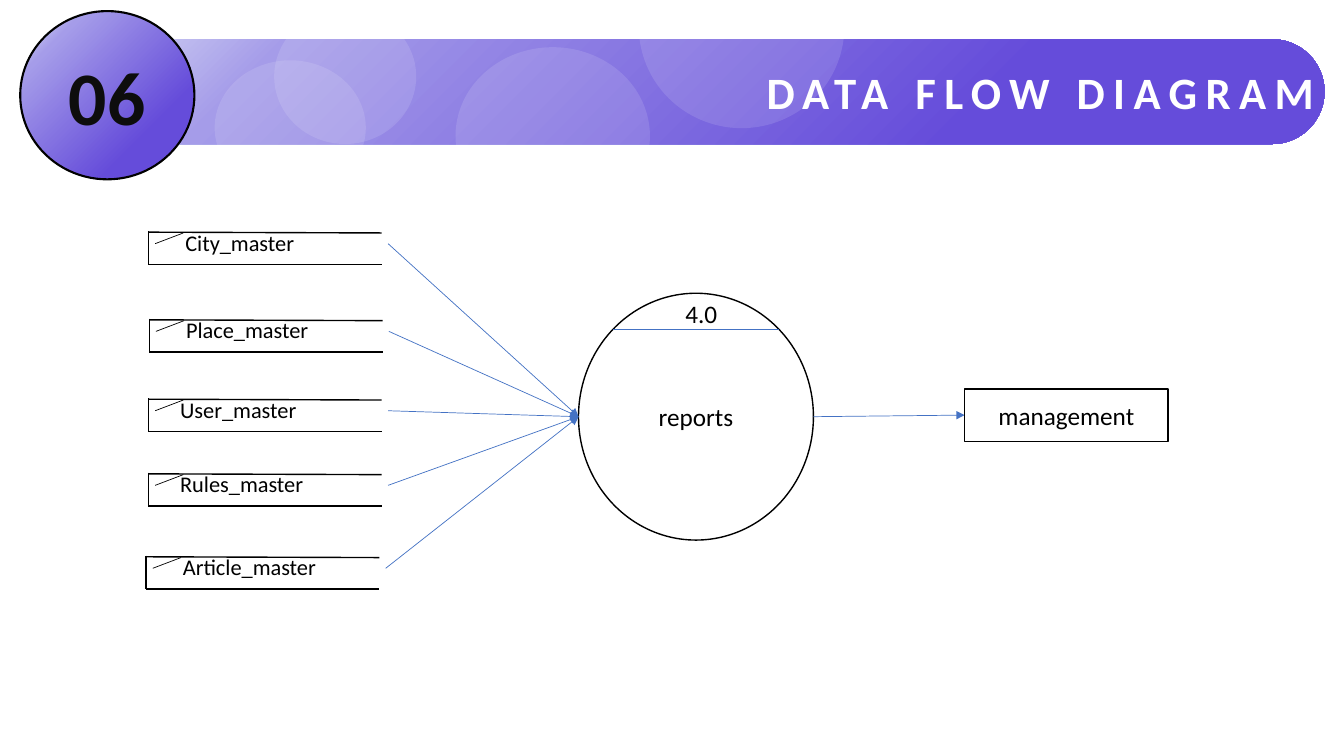
from dataclasses import dataclass

from lxml.etree import SubElement
from pptx import Presentation
from pptx.dml.color import RGBColor
from pptx.enum.shapes import MSO_CONNECTOR, MSO_SHAPE
from pptx.enum.text import MSO_ANCHOR, MSO_AUTO_SIZE, PP_ALIGN
from pptx.oxml import parse_xml
from pptx.oxml.ns import nsdecls, qn
from pptx.util import Cm, Pt


@dataclass(frozen=True)
class Theme:
    """Colours, type sizes and line widths of the slide."""
    font: str = "Calibri"
    white: str = "FFFFFF"
    black: str = "000000"
    number: str = "0D0D0D"
    flow: str = "4472C4"
    gradient: tuple = ((27, "654CDA"), (81, "A59CE9"), (100, "E5EBF7"))
    bubble_opacity: int = 12
    title_size: int = 32
    number_size: int = 54
    node_size: int = 18
    store_size: int = 16
    title_spacing: int = 6
    thin: float = 0.5
    normal: float = 1
    thick: float = 1.5


THEME = Theme()
BAND = (0.51, 0.99, 32.87, 2.64)
BADGE = (0.51, 0.28, 4.39, 4.24)
BUBBLES = ((11.48, 1.19, 4.9, 4.47), (6.91, 0.23, 3.58, 3.4),
           (16.1, -1.88, 5.18, 5.11), (5.41, 1.52, 3.81, 3.4))
PROCESS = (14.58, 7.39, 5.92, 6.22)
PROCESS_NUMBER = (17.02, 7.39, 1.35, 1.09)
MANAGEMENT = (24.31, 9.8, 5.13, 1.32)
STORES = (("City_master", 3.74, 5.82, 0.51), ("Place_master", 3.76, 8.03, 0.51),
          ("User_master", 3.74, 10.03, 0.38), ("Rules_master", 3.74, 11.91, 0.38),
          ("Article_master", 3.68, 14.0, 0.51))
STORE_WIDTH, STORE_HEIGHT = 5.88, 0.84
STORE_STROKES = (((0, 0), (0, STORE_HEIGHT), THEME.normal),
                 ((0, 0.03), (STORE_WIDTH, 0.05), THEME.normal),
                 ((0, STORE_HEIGHT), (STORE_WIDTH, STORE_HEIGHT), THEME.normal),
                 ((0.88, 0.05), (0.17, 0.32), THEME.thin))


def apply_format(target, values):
    """Set every attribute named in a dict of format values."""
    for name, value in values.items():
        setattr(target, name, value)


def write_text(shape, text, size, color=THEME.black, bold=False,
               align=PP_ALIGN.CENTER, anchor=MSO_ANCHOR.MIDDLE):
    """Write one formatted line in a shape and return its run."""
    frame = shape.text_frame
    apply_format(frame, {"word_wrap": True, "vertical_anchor": anchor,
                         "auto_size": MSO_AUTO_SIZE.NONE})
    paragraph = frame.paragraphs[0]
    paragraph.alignment = align
    run = paragraph.add_run()
    run.text = text
    apply_format(run.font, {"name": THEME.font, "size": Pt(size), "bold": bold})
    run.font.color.rgb = RGBColor.from_string(color)
    return run


def add_node(slide, kind, box, fill=THEME.white, line_width=None):
    """Add a preset shape with a plain fill and an optional black outline."""
    shape = slide.shapes.add_shape(kind, *map(Cm, box))
    shape.shadow.inherit = False
    shape.fill.solid()
    shape.fill.fore_color.rgb = RGBColor.from_string(fill)
    if line_width:
        shape.line.color.rgb = RGBColor.from_string(THEME.black)
        shape.line.width = Pt(line_width)
    else:
        shape.line.fill.background()
    return shape


def fill_gradient(shape):
    """Replace a plain fill by the radial gradient of the theme."""
    stops = "".join(
        f'<a:gs pos="{position * 1000}"><a:srgbClr val="{color}"/></a:gs>'
        for position, color in THEME.gradient)
    gradient = parse_xml(
        f'<a:gradFill {nsdecls("a")} rotWithShape="1"><a:gsLst>{stops}</a:gsLst>'
        '<a:path path="circle"><a:fillToRect l="100000" t="100000"/></a:path>'
        '<a:tileRect r="-100000" b="-100000"/></a:gradFill>')
    properties = shape._element.spPr
    properties.replace(properties.find(qn("a:solidFill")), gradient)


def add_line(slide, start, end, width=THEME.thin, color=THEME.black, arrow=False):
    """Add a straight line, with an arrowhead at its end if asked."""
    line = slide.shapes.add_connector(
        MSO_CONNECTOR.STRAIGHT, *map(Cm, (*start, *end)))
    line.line.color.rgb = RGBColor.from_string(color)
    line.line.width = Pt(width)
    properties = line._element.spPr
    if arrow:
        SubElement(properties.find(qn("a:ln")), qn("a:tailEnd"), type="triangle")
    SubElement(properties, qn("a:effectLst"))


def add_label(slide, box, text, size, indent=0):
    """Add a left-aligned label with an optional indent."""
    label = slide.shapes.add_textbox(*map(Cm, box))
    write_text(label, text, size, align=PP_ALIGN.LEFT, anchor=MSO_ANCHOR.TOP)
    label.text_frame.margin_left = Cm(0.25 + indent)


def add_bubble(slide, box):
    """Add a translucent white circle."""
    bubble = add_node(slide, MSO_SHAPE.OVAL, box)
    color = bubble._element.spPr.find(qn("a:solidFill"))[0]
    SubElement(color, qn("a:alpha"), val=str(THEME.bubble_opacity * 1000))


def add_header(slide):
    """Add the banner, the title, the number badge and the bubbles."""
    band = add_node(slide, MSO_SHAPE.ROUNDED_RECTANGLE, BAND)
    band.adjustments[0] = 0.5
    fill_gradient(band)
    title = slide.shapes.title
    apply_format(title, dict(zip(("left", "top", "width", "height"), map(Cm, BAND))))
    run = write_text(title, "DATA FLOW DIAGRAM", THEME.title_size, THEME.white,
                     bold=True, align=PP_ALIGN.RIGHT)
    run.font._element.set("spc", str(THEME.title_spacing * 100))
    band._element.addnext(title._element)
    badge = add_node(slide, MSO_SHAPE.OVAL, BADGE, line_width=THEME.thick)
    fill_gradient(badge)
    write_text(badge, "06", THEME.number_size, THEME.number, bold=True)
    for box in BUBBLES:
        add_bubble(slide, box)


def add_store(slide, name, left, top, indent):
    """Add an open-ended data store with its label."""
    for (x1, y1), (x2, y2), width in STORE_STROKES:
        add_line(slide, (left + x1, top + y1), (left + x2, top + y2), width)
    add_label(slide, (left + 0.17, top - 0.18, 5.87, 1), name,
              THEME.store_size, indent)


def add_process(slide):
    """Add the numbered reports process."""
    process = add_node(slide, MSO_SHAPE.OVAL, PROCESS, line_width=THEME.normal)
    write_text(process, "reports", THEME.node_size)
    add_line(slide, (15.44, 8.31), (19.63, 8.31), color=THEME.flow)
    add_label(slide, PROCESS_NUMBER, "4.0", THEME.node_size)


def add_flows(slide):
    """Add the arrows from the stores to the process and on to management."""
    left, top, width, height = PROCESS
    middle = top + height / 2
    flows = [((x + 6.04, y + 0.32), (left, middle)) for _, x, y, _ in STORES]
    flows.append(((left + width, middle),
                  (MANAGEMENT[0], MANAGEMENT[1] + MANAGEMENT[3] / 2)))
    for start, end in flows:
        add_line(slide, start, end, color=THEME.flow, arrow=True)


def main():
    """Build the slide and save it."""
    presentation = Presentation()
    apply_format(presentation, {"slide_width": Cm(33.87), "slide_height": Cm(19.05)})
    slide = presentation.slides.add_slide(
        presentation.slide_layouts.get_by_name("Title Only"))
    add_header(slide)
    for store in STORES:
        add_store(slide, *store)
    add_process(slide)
    add_flows(slide)
    management = add_node(slide, MSO_SHAPE.RECTANGLE, MANAGEMENT,
                          line_width=THEME.normal)
    write_text(management, "management", THEME.node_size)
    presentation.save("out.pptx")


main()
